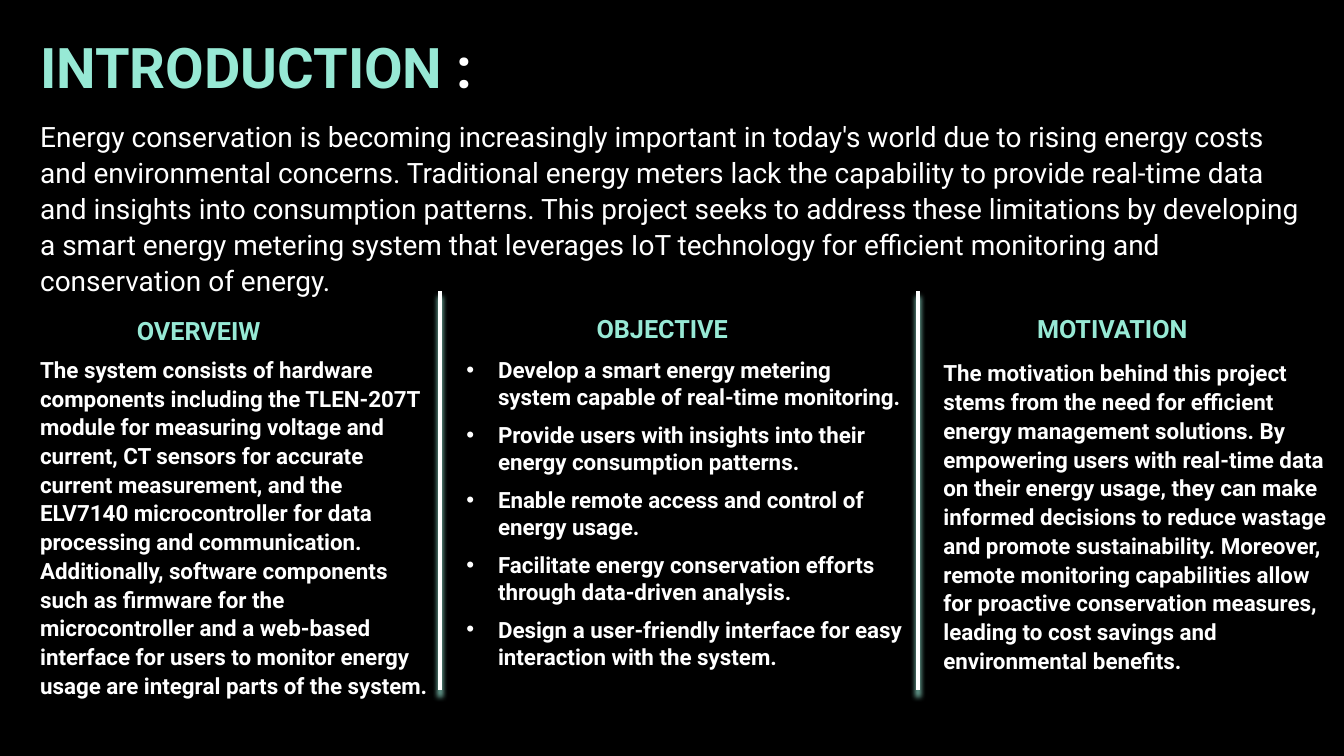
from lxml.etree import SubElement
from pptx import Presentation
from pptx.dml.color import RGBColor
from pptx.enum.shapes import MSO_CONNECTOR
from pptx.enum.text import MSO_ANCHOR, MSO_AUTO_SIZE, PP_ALIGN
from pptx.oxml.ns import qn
from pptx.util import Pt

MINT, WHITE, BLACK = "97E9D5", "FFFFFF", "000000"
LEFT = 21.6

INTRO = (
    "Energy conservation is becoming increasingly important in today's world due to "
    "rising energy costs and environmental concerns. Traditional energy meters lack "
    "the capability to provide real-time data and insights into consumption patterns. "
    "This project seeks to address these limitations by developing a smart energy "
    "metering system that leverages IoT technology for efficient monitoring and "
    "conservation of energy."
)
OVERVIEW = (
    "The system consists of hardware components including the TLEN-207T module for "
    "measuring voltage and current, CT sensors for accurate current measurement, and "
    "the ELV7140 microcontroller for data processing and communication. Additionally, "
    "software components such as firmware for the microcontroller and a web-based "
    "interface for users to monitor energy usage are integral parts of the system."
)
GOALS = [
    "Develop a smart energy metering system capable of real-time monitoring.",
    "Provide users with insights into their energy consumption patterns.",
    "Enable remote access and control of energy usage.",
    "Facilitate energy conservation efforts through data-driven analysis.",
    "Design a user-friendly interface for easy interaction with the system.",
]
MOTIVE = (
    "The motivation behind this project stems from the need for efficient energy "
    "management solutions. By empowering users with real-time data on their energy "
    "usage, they can make informed decisions to reduce wastage and promote "
    "sustainability. Moreover, remote monitoring capabilities allow for proactive "
    "conservation measures, leading to cost savings and environmental benefits."
)


def color(target, code):
    """Set a colour from a hex string."""
    target.rgb = RGBColor.from_string(code)


def place(shape, left, top, width, height):
    """Move and size a shape in points."""
    shape.left, shape.top = Pt(left), Pt(top)
    shape.width, shape.height = Pt(width), Pt(height)


def write(shape, *lines, size=16, bold=True, tint=WHITE, space=1.07, after=8, indent=0):
    """Fill a shape with paragraphs, each a string or a list of (text, colour) runs."""
    frame = shape.text_frame
    frame.word_wrap = True
    frame.auto_size = MSO_AUTO_SIZE.NONE
    frame.vertical_anchor = MSO_ANCHOR.TOP
    for i, line in enumerate(lines):
        para = frame.add_paragraph() if i else frame.paragraphs[0]
        para.alignment = PP_ALIGN.LEFT
        para.line_spacing = space
        para.space_before, para.space_after = Pt(0), Pt(after)
        if indent:
            props = para._p.get_or_add_pPr()
            props.set("marL", str(Pt(indent)))
            props.set("indent", str(-Pt(indent)))
        for text, code in [(line, tint)] if isinstance(line, str) else line:
            run = para.add_run()
            run.text = text
            run.font.name, run.font.size, run.font.bold = "Roboto", Pt(size), bold
            color(run.font.color, code)


def add_text(slide, box, text, **style):
    """Add a text box with formatted text."""
    write(slide.shapes.add_textbox(*map(Pt, box)), text, **style)


def add_rule(slide, left, top, bottom):
    """Draw a vertical divider with a mint glow below it."""
    rule = slide.shapes.add_connector(
        MSO_CONNECTOR.STRAIGHT, Pt(left), Pt(top), Pt(left), Pt(bottom)
    )
    rule.line.width = Pt(2.75)
    color(rule.line.color, WHITE)
    effects = SubElement(rule._element.spPr, qn("a:effectLst"))
    shadow = SubElement(
        effects, qn("a:outerShdw"), blurRad=str(Pt(4)), dist=str(Pt(4)),
        dir="5400000", algn="t", rotWithShape="0",
    )
    SubElement(shadow, qn("a:srgbClr"), val=MINT)


def main():
    """Build and save the introduction slide."""
    deck = Presentation()
    deck.slide_width, deck.slide_height = Pt(960), Pt(540)
    slide = deck.slides.add_slide(deck.slide_layouts[1])
    fill = slide.background.fill
    fill.solid()
    color(fill.fore_color, BLACK)

    title, body = slide.placeholders
    place(title, LEFT, 16.6, 480, 57.6)
    write(title, [("INTRODUCTION", MINT), (" :", WHITE)], size=40)
    add_text(slide, (LEFT, 80, 916, 110), INTRO, size=20, bold=False)

    head = {"size": 18, "tint": MINT}
    add_text(slide, (90.7, 220.3, 200, 30), "OVERVEIW", **head)
    add_text(slide, (419, 220.3, 131, 29), "OBJECTIVE", space=1, after=0, **head)
    add_text(slide, (733.7, 220.3, 143.3, 29), "MOTIVATION", space=1, after=0, **head)

    add_text(slide, (LEFT, 249.4, 293, 234.7), OVERVIEW)
    place(body, 326, 250.8, 329.8, 233.3)
    write(body, *GOALS, space=1, indent=22.5)
    add_text(slide, (666.8, 252, 293, 234.7), MOTIVE)

    for left in (314.6, 655.9):
        add_rule(slide, left, 208.1, 493.2)
    deck.save("out.pptx")


if __name__ == "__main__":
    main()
